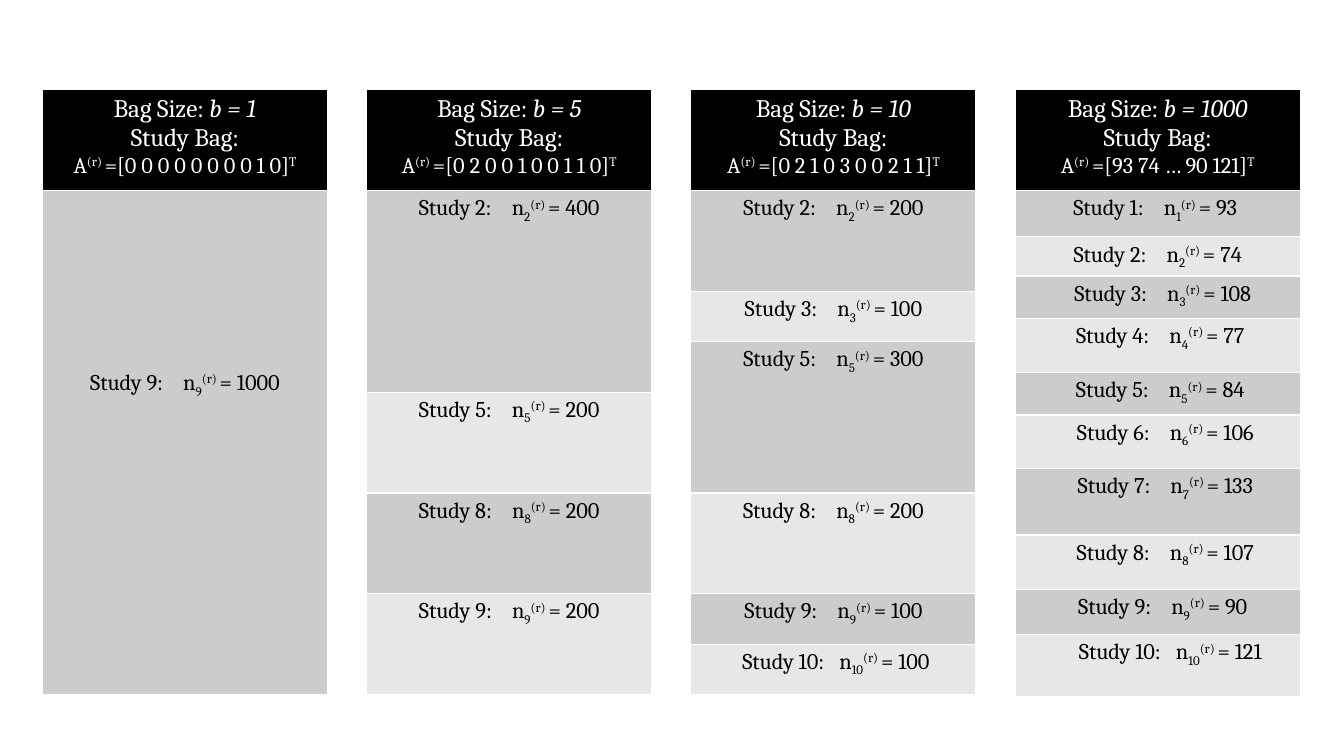
from dataclasses import dataclass

from lxml.etree import SubElement
from pptx import Presentation
from pptx.dml.color import RGBColor
from pptx.enum.text import PP_ALIGN as Align
from pptx.oxml.ns import qn
from pptx.util import Pt

BLACK = RGBColor(0x00, 0x00, 0x00)
WHITE = RGBColor(0xFF, 0xFF, 0xFF)
DARK_GREY = RGBColor(0xCC, 0xCC, 0xCC)
LIGHT_GREY = RGBColor(0xE7, 0xE7, 0xE7)

FONT = "Cambria"
HEADING_SIZE, STUDY_SIZE = 18, 16
SPACE = 3.6
SUPER, SUB = 30, -25
LEFT, TOP, PITCH = 30.24, 64.08, 231.6
WIDTH, HEADER_HEIGHT = 203.76, 72
POINTS_PER_SUBJECT = 0.36
MARGIN_X, MARGIN_Y = 7.2, 3.6


@dataclass
class Study:
    number: int
    count: int
    height: float = 0
    shift: int = 0
    drop: float = 0

    def row_height(self) -> float:
        return self.height or self.count * POINTS_PER_SUBJECT


@dataclass
class Bag:
    size: int
    draws: str
    studies: list[Study]


BAGS = [
    Bag(1, "0 0 0 0 0 0 0 0 1 0", [Study(9, 1000, drop=125)]),
    Bag(5, "0 2 0 0 1 0 0 1 1 0",
        [Study(2, 400), Study(5, 200), Study(8, 200), Study(9, 200)]),
    Bag(10, "0 2 1 0 3 0 0 2 1 1",
        [Study(2, 200), Study(3, 100), Study(5, 300), Study(8, 200),
         Study(9, 100), Study(10, 100, shift=1)]),
    Bag(1000, "93 74 … 90 121",
        [Study(1, 93, 33.12, -1), Study(2, 74, 26.64), Study(3, 108, 30.24, 2),
         Study(4, 77, 38.88, 1), Study(5, 84, 30.24, 1), Study(6, 106, 38.16, 3),
         Study(7, 133, 47.52, 3), Study(8, 107, 38.88, 3), Study(9, 90, 32.4, 2),
         Study(10, 121, 43.92, 5)]),
]


def style_cell(cell, fill: RGBColor) -> None:
    properties = cell._tc.get_or_add_tcPr()
    for side in ("a:lnL", "a:lnR", "a:lnT", "a:lnB"):
        border = SubElement(properties, qn(side), w=str(Pt(1)))
        paint = SubElement(border, qn("a:solidFill"))
        SubElement(paint, qn("a:srgbClr"), val=str(WHITE))
    cell.fill.solid()
    cell.fill.fore_color.rgb = fill


def style_paragraph(paragraph, size: float, color: RGBColor) -> None:
    paragraph.alignment = Align.CENTER
    paragraph.font.name = FONT
    paragraph.font.size = Pt(size)
    paragraph.font.color.rgb = color


def add_run(paragraph, text: str, baseline: int = 0, spacing: float = 0):
    run = paragraph.add_run()
    run.text = text
    properties = run._r.get_or_add_rPr()
    if baseline:
        properties.set("baseline", str(baseline * 1000))
    if spacing:
        properties.set("spc", str(round(spacing * 100)))
    return run


def write_header(cell, bag: Bag) -> None:
    style_cell(cell, BLACK)
    frame = cell.text_frame
    size_line = frame.paragraphs[0]
    bag_line, draws_line = frame.add_paragraph(), frame.add_paragraph()
    style_paragraph(size_line, HEADING_SIZE, WHITE)
    style_paragraph(bag_line, HEADING_SIZE, WHITE)
    style_paragraph(draws_line, STUDY_SIZE, WHITE)
    add_run(size_line, "Bag Size: ")
    add_run(size_line, f"b = {bag.size}").font.italic = True
    add_run(bag_line, "Study Bag:")
    add_run(draws_line, "A")
    add_run(draws_line, "(r) ", SUPER)
    add_run(draws_line, f"=[{bag.draws}]")
    add_run(draws_line, "T", SUPER)


def write_study(cell, study: Study, fill: RGBColor) -> None:
    style_cell(cell, fill)
    cell.margin_left = Pt(MARGIN_X + study.shift * SPACE)
    cell.margin_top = Pt(MARGIN_Y + study.drop)
    line = cell.text_frame.paragraphs[0]
    style_paragraph(line, STUDY_SIZE, BLACK)
    extra_spaces = 3 if study.number < 10 else 2
    add_run(line, f"Study {study.number}:")
    add_run(line, " ", spacing=extra_spaces * SPACE)
    add_run(line, "n")
    add_run(line, str(study.number), SUB)
    add_run(line, "(r) ", SUPER)
    add_run(line, f"= {study.count}")


def add_bag_table(slide, bag: Bag, left: float) -> None:
    heights = [HEADER_HEIGHT] + [study.row_height() for study in bag.studies]
    table = slide.shapes.add_table(
        len(heights), 1, Pt(left), Pt(TOP), Pt(WIDTH), Pt(sum(heights))).table
    table.first_row = False
    table.horz_banding = False
    for row, height in zip(table.rows, heights):
        row.height = Pt(height)
    write_header(table.cell(0, 0), bag)
    for index, study in enumerate(bag.studies):
        fill = LIGHT_GREY if index % 2 else DARK_GREY
        write_study(table.cell(index + 1, 0), study, fill)


presentation = Presentation()
presentation.slide_width = Pt(960)
presentation.slide_height = Pt(540)
slide = presentation.slides.add_slide(presentation.slide_layouts[6])
for position, bag in enumerate(BAGS):
    add_bag_table(slide, bag, LEFT + position * PITCH)
presentation.save("out.pptx")
